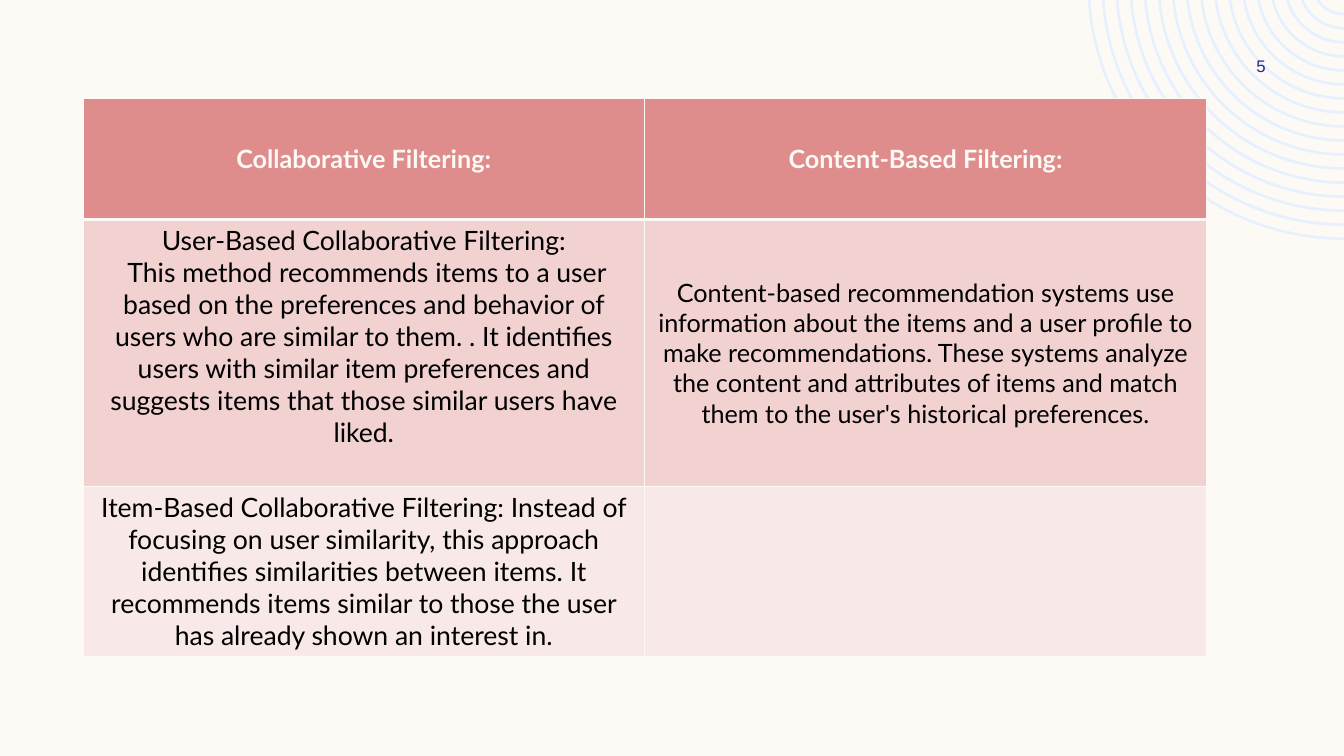
"""Build a slide comparing collaborative and content-based filtering."""
from math import asin, cos, pi, sin, tan

from lxml.etree import SubElement
from pptx import Presentation
from pptx.dml.color import RGBColor
from pptx.enum.text import MSO_ANCHOR as Anchor, PP_ALIGN as Align
from pptx.oxml.ns import qn
from pptx.util import Pt

PX = 9525
CREAM, BLACK, NAVY = "FDFAF6", "000000", "1F2C8F"


def color(value):
    return RGBColor.from_string(value)


def add_text(paragraph, text, size, font, value, bold=False):
    paragraph.alignment = Align.CENTER
    run = paragraph.add_run()
    run.text = text
    run.font.size = Pt(size)
    run.font.name = font
    run.font.bold = bold
    run.font.color.rgb = color(value)


presentation = Presentation()
presentation.slide_width = 1280 * PX
presentation.slide_height = 720 * PX
slide = presentation.slides.add_slide(presentation.slide_layouts[6])
slide.background.fill.solid()
slide.background.fill.fore_color.rgb = color(CREAM)

CENTER_X, CENTER_Y = 1280, -16
builder = None
for ring in range(17):
    outer = 30.8 + 13.36 * ring
    outline = []
    for radius, direction in ((outer, 1), (outer - 2.5, -1)):
        start = asin(-CENTER_Y / radius)
        handle = radius * 4 / 3 * tan((pi / 2 - start) / 4)
        left = CENTER_X - radius * cos(start)
        bottom = CENTER_Y + radius
        curve = [(left, 0),
                 (left + handle * sin(start), handle * cos(start)),
                 (CENTER_X - handle, bottom),
                 (CENTER_X, bottom)]
        outline += [(x * PX, y * PX) for x, y in curve[::direction]]
    if builder is None:
        builder = slide.shapes.build_freeform(*outline[0])
    else:
        builder.move_to(*outline[0])
    builder.add_line_segments(outline[1:], close=True)
rings = builder.convert_to_shape()
rings.shadow.inherit = False
rings.fill.solid()
rings.fill.fore_color.rgb = color("E6F0FE")
rings.line.fill.background()

segments = list(rings._element.iter(qn("a:lnTo")))
for first in range(0, len(segments), 7):
    for offset in (0, 4):
        curve = segments[first + offset:first + offset + 3]
        bezier = curve[0].makeelement(qn("a:cubicBezTo"))
        curve[0].addprevious(bezier)
        for segment in curve:
            bezier.append(segment[0])
            segment.getparent().remove(segment)

ROW_HEIGHTS = [115, 254, 161]
ROW_FILLS = [["DE8C8C", "DF8C8C"], ["F2D1D1"] * 2, ["F8E8E8"] * 2]
CELLS = [
    [(18, ["Collaborative Filtering:"]), (18, ["Content-Based Filtering:"])],
    [(19, ["User-Based Collaborative Filtering:",
           " This method recommends items to a user based on the preferences and "
           "behavior of users who are similar to them. . It identifies users with "
           "similar item preferences and suggests items that those similar users "
           "have liked."]),
     (18, ["Content-based recommendation systems use information about the items "
           "and a user profile to make recommendations. These systems analyze the "
           "content and attributes of items and match them to the user's "
           "historical preferences."])],
    [(19, ["Item-Based Collaborative Filtering: Instead of focusing on user "
           "similarity, this approach identifies similarities between items. It "
           "recommends items similar to those the user has already shown an "
           "interest in."]),
     (18, [])],
]
table = slide.shapes.add_table(
    3, 2, 79 * PX, 94 * PX, 1070 * PX, sum(ROW_HEIGHTS) * PX).table
table.horz_banding = False
for column in table.columns:
    column.width = 535 * PX

for row, height in enumerate(ROW_HEIGHTS):
    table.rows[row].height = height * PX
    header = row == 0
    borders = {"a:lnL": 1, "a:lnR": 1,
               "a:lnT": 3 if row == 1 else 1, "a:lnB": 3 if header else 1}
    for column, (size, texts) in enumerate(CELLS[row]):
        cell = table.cell(row, column)
        cell.margin_left = cell.margin_right = 10 * PX
        cell.margin_top = cell.margin_bottom = 5 * PX
        cell.vertical_anchor = Anchor.TOP if len(texts) > 1 else Anchor.MIDDLE
        properties = cell._tc.get_or_add_tcPr()
        for tag, width in borders.items():
            line = SubElement(properties, qn(tag), w=str(Pt(width)))
            SubElement(SubElement(line, qn("a:solidFill")), qn("a:srgbClr"), val=CREAM)
        cell.fill.solid()
        cell.fill.fore_color.rgb = color(ROW_FILLS[row][column])
        frame = cell.text_frame
        for index, text in enumerate(texts):
            paragraph = frame.add_paragraph() if index else frame.paragraphs[0]
            add_text(paragraph, text, size, "Lato", CREAM if header else BLACK, header)

page_number = slide.shapes.add_textbox(1149 * PX, 48 * PX, 104 * PX, 29 * PX)
page_number.text_frame.word_wrap = True
page_number.text_frame.vertical_anchor = Anchor.MIDDLE
add_text(page_number.text_frame.paragraphs[0], "5", 12, "Arial", NAVY)

presentation.save("out.pptx")
